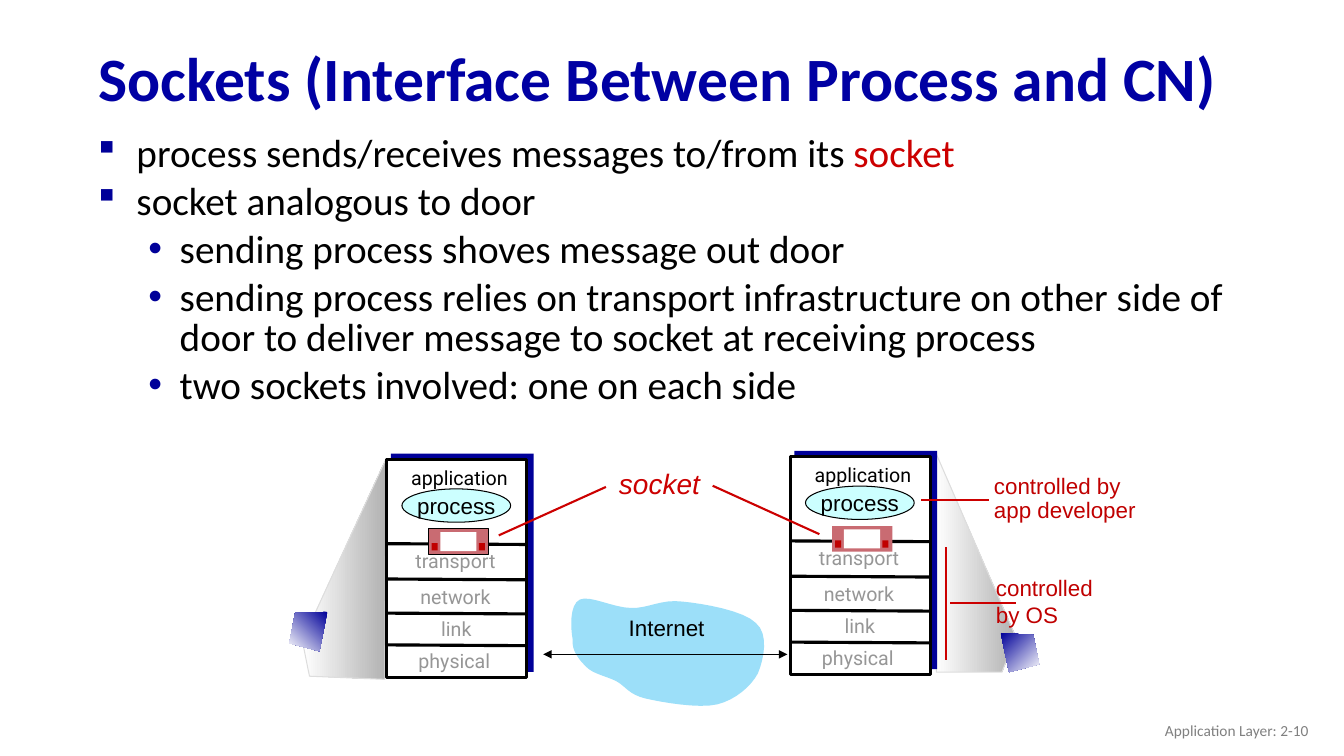
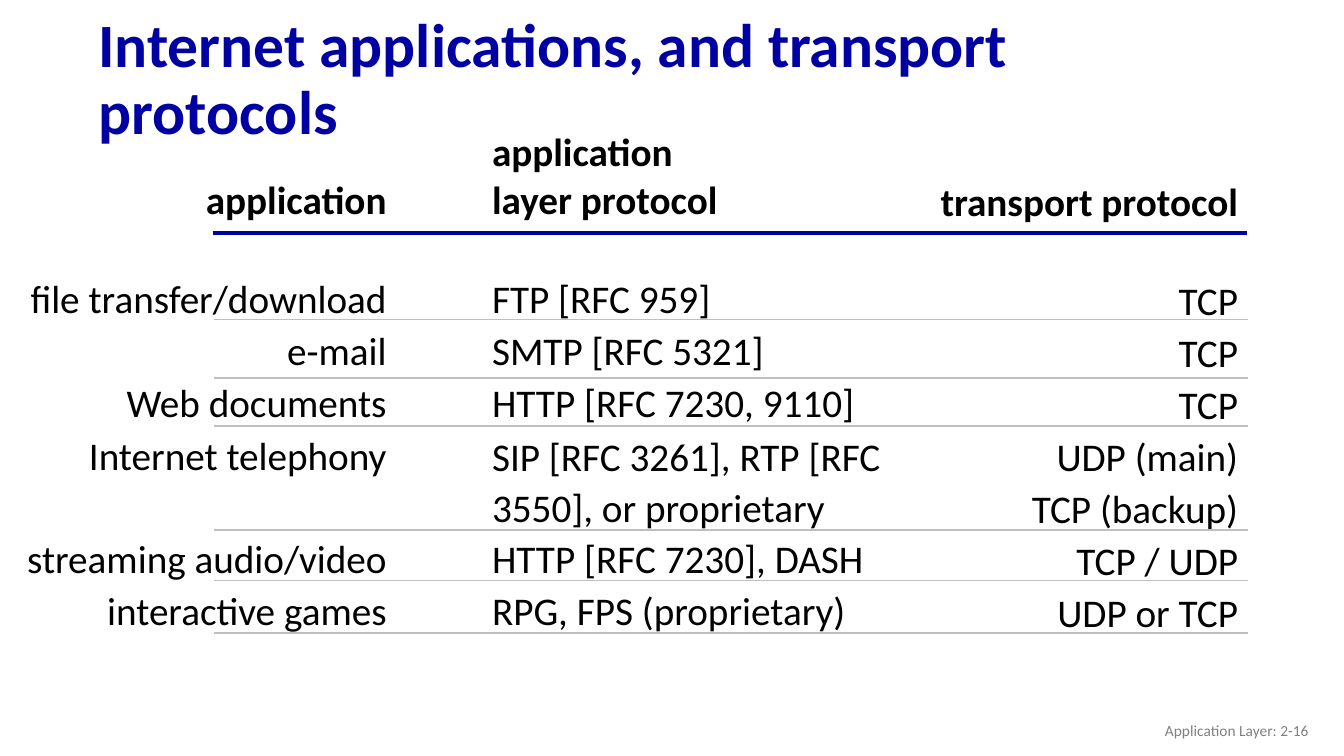
from lxml.etree import SubElement
from pptx import Presentation
from pptx.dml.color import RGBColor
from pptx.enum.shapes import MSO_CONNECTOR, MSO_SHAPE as Shape
from pptx.enum.text import MSO_ANCHOR as Anchor, PP_ALIGN as Align
from pptx.oxml.ns import qn
from pptx.util import Cm, Pt

TITLE = RGBColor(0x00, 0x00, 0xA3)
NAVY = RGBColor(0x00, 0x00, 0x99)
BLUE = RGBColor(0x00, 0x00, 0xA8)
RED = RGBColor(0xCC, 0x00, 0x00)
DARK = RGBColor(0xC0, 0x00, 0x00)
ROSE = RGBColor(0xC9, 0x6B, 0x72)
SKY = RGBColor(0x9C, 0xDF, 0xF9)
CYAN = RGBColor(0xCC, 0xFF, 0xFF)
BLACK = RGBColor(0x00, 0x00, 0x00)
WHITE = RGBColor(0xFF, 0xFF, 0xFF)
GREY = RGBColor(0x80, 0x80, 0x80)
FADED = RGBColor(0x96, 0x96, 0x96)
SHADE = RGBColor(0xB2, 0xB2, 0xB2)
EDGE = RGBColor(0xDD, 0xDD, 0xDD)
RULE = RGBColor(0xBF, 0xBF, 0xBF)

BODY, SANS, LABEL = "Calibri", "Arial", "Roboto"
PLAIN = "{2D5ABB26-0587-4C30-8999-92F81FD0307C}"  # table style without grid

POINTS = [
    (0, "process sends/receives messages to/from its ", "socket"),
    (0, "socket analogous to door", ""),
    (1, "sending process shoves message out door", ""),
    (1, "sending process relies on transport infrastructure on other side of "
        "door to deliver message to socket at receiving process", ""),
    (1, "two sockets involved: one on each side", ""),
]
# Sign, font, left and hang; the first sign is a small square in its font
BULLETS = [("§", "Wingdings", 0.97, 0.97), ("•", SANS, 2.06, 0.79)]

# Name, left and top within a host
LAYERS = [("application", 0, -0.03), ("transport", -0.1, 2.07),
          ("network", -0.1, 2.97), ("link", -0.08, 3.78),
          ("physical", -0.13, 4.59)]

# Start point, then three points for each curve
CLOUD = [
    (14.43, 16.1), (14.38, 15.82), (14.35, 15.24), (14.61, 15.11),
    (14.86, 14.99), (15.47, 15.32), (15.9, 15.32), (16.33, 15.34),
    (16.66, 15.09), (17.2, 15.16), (17.73, 15.21), (18.75, 15.39),
    (19.05, 15.7), (19.38, 15.98), (19.25, 16.61), (19.1, 16.97),
    (18.92, 17.3), (18.54, 17.63), (18.08, 17.75), (17.6, 17.86),
    (16.69, 17.7), (16.26, 17.6), (15.85, 17.5), (15.77, 17.3),
    (15.54, 17.17), (15.29, 17.04), (14.96, 16.99), (14.78, 16.81),
    (14.61, 16.64), (14.4, 16.41), (14.43, 16.1),
]

HEAD = ["application", "application\nlayer protocol", "transport protocol"]
APPS = [
    ["file transfer/download", "FTP [RFC 959]", "TCP"],
    ["e-mail", "SMTP [RFC 5321]", "TCP"],
    ["Web documents", "HTTP [RFC 7230, 9110]", "TCP"],
    ["Internet telephony", "SIP [RFC 3261], RTP [RFC 3550], or proprietary",
     "UDP (main)\nTCP (backup)"],
    ["streaming audio/video", "HTTP [RFC 7230], DASH", "TCP / UDP"],
    ["interactive games", "RPG, FPS (proprietary)", "UDP or TCP"],
]
RULES = [8.05, 9.53, 10.74, 13.36, 14.63, 15.95]


def style(para, size, color, face=BODY, bold=False, italic=False,
          align=Align.LEFT, gap=None):
    font = para.font
    font.name, font.size, font.bold, font.italic = face, Pt(size), bold, italic
    font.color.rgb = color
    para.alignment = align
    if gap:
        para.line_spacing = gap


def text(slide, box, words, size, color, face=BODY, anchor=Anchor.TOP, **look):
    frame = slide.shapes.add_textbox(*map(Cm, box)).text_frame
    frame.word_wrap = True
    frame.vertical_anchor = anchor
    frame.text = words
    for para in frame.paragraphs:
        style(para, size, color, face, **look)


def paint(shape, fill, edge=None, width=0.75):
    shape.shadow.inherit = False
    if fill:
        shape.fill.solid()
        shape.fill.fore_color.rgb = fill
    if edge is None:
        shape.line.fill.background()
    else:
        shape.line.color.rgb = edge
        shape.line.width = Pt(width)


def block(slide, box, fill, edge=None, width=0.75, kind=Shape.RECTANGLE):
    shape = slide.shapes.add_shape(kind, *map(Cm, box))
    paint(shape, fill, edge, width)
    return shape


def line(slide, start, end, color, width, arrows=False):
    link = slide.shapes.add_connector(
        MSO_CONNECTOR.STRAIGHT, *map(Cm, start + end))
    link.line.color.rgb = color
    link.line.width = Pt(width)
    props = link._element.spPr
    if arrows:
        for tag in ("a:headEnd", "a:tailEnd"):
            SubElement(props.find(qn("a:ln")), qn(tag), type="triangle")
    SubElement(props, qn("a:effectLst"))


def outline(slide, dots):
    first, *rest = [(Cm(x), Cm(y)) for x, y in dots]
    path = slide.shapes.build_freeform(*first)
    path.add_line_segments(rest, close=True)
    return path.convert_to_shape()


def fade(slide, dots, colors, angle, edge=None):
    shape = outline(slide, dots)
    shape.fill.gradient()
    shape.fill.gradient_angle = angle
    for stop, color in zip(shape.fill.gradient_stops, colors):
        stop.color.rgb = color
    paint(shape, None, edge)


def curve(dots, steps=8):
    """Sample a chain of cubic curves as points."""
    path = [dots[0]]
    for i in range(0, len(dots) - 1, 3):
        for k in range(1, steps + 1):
            t = k / steps
            parts = ((1 - t) ** 3, 3 * t * (1 - t) ** 2,
                     3 * t * t * (1 - t), t ** 3)
            path.append(tuple(sum(w * dot[axis] for w, dot in
                                  zip(parts, dots[i:i + 4]))
                              for axis in (0, 1)))
    return path


def page(deck, title, number):
    """Add a slide with the shared title and footer."""
    slide = deck.slides.add_slide(deck.slide_layouts[6])
    text(slide, (2.23, 0.8, 29.21, 2.49), title, 44, TITLE,
         anchor=Anchor.MIDDLE, bold=True, gap=0.9)
    text(slide, (25.61, 17.9, 7.62, 1.02), f"Application Layer: {number}", 11,
         GREY, anchor=Anchor.MIDDLE, align=Align.RIGHT)
    return slide


def bullets(slide, box):
    frame = slide.shapes.add_textbox(*map(Cm, box)).text_frame
    frame.word_wrap = True
    for i, (level, words, key) in enumerate(POINTS):
        para = frame.add_paragraph() if i else frame.paragraphs[0]
        sign, face, left, hang = BULLETS[level]
        props = para._p.get_or_add_pPr()
        props.set("marL", str(Cm(left)))
        props.set("indent", str(-Cm(hang)))
        tint = SubElement(props, qn("a:buClr"))
        SubElement(tint, qn("a:srgbClr"), val=str(NAVY))
        SubElement(props, qn("a:buFont"), typeface=face)
        SubElement(props, qn("a:buChar"), char=sign)
        para.level = level
        style(para, 28, BLACK, gap=0.85)
        if i:
            para.space_before = Pt(5.6)
        para.add_run().text = words
        if key:
            run = para.add_run()
            run.text = key
            run.font.color.rgb = RED


def door(slide, x, y, edge):
    block(slide, (x, y, 1.52, 0.64), ROSE, edge)
    block(slide, (x + 0.3, y + 0.08, 0.91, 0.48), WHITE)
    for peg in (1.27, 0.08):
        block(slide, (x + peg, y + 0.36, 0.15, 0.18), DARK)


def host(slide, x, y, edge=None):
    """Draw a protocol stack with its process and socket."""
    block(slide, (x + 0.1, y - 0.15, 3.6, 5.5), NAVY)
    block(slide, (x, y, 3.53, 5.49), WHITE, BLACK, 2.25)
    for drop in (2.12, 3.01, 3.87, 4.67):
        line(slide, (x, y + drop), (x + 3.53, y + drop + 0.02), BLACK, 2.25)
    for name, left, top in LAYERS:
        text(slide, (x + left, y + top, 3.66, 0.91), name, 14,
             BLACK if name == "application" else FADED, LABEL,
             align=Align.CENTER, gap=1.1)
    oval = block(slide, (x + 0.38, y + 0.74, 2.74, 0.84), CYAN, BLACK,
                 kind=Shape.OVAL)
    frame = oval.text_frame
    frame.word_wrap = False
    frame.vertical_anchor = Anchor.MIDDLE
    frame.text = "process"
    style(frame.paragraphs[0], 16, BLACK, SANS, align=Align.CENTER)
    door(slide, x + 1.05, y + 1.75, edge)


def network(slide):
    """Draw the cloud and the link between the hosts."""
    paint(outline(slide, curve(CLOUD)), SKY)
    text(slide, (15.4, 15.34, 2.8, 0.94), "Internet", 16, BLACK, SANS,
         align=Align.CENTER)
    line(slide, (13.69, 16.49), (19.84, 16.49), BLACK, 0.75, arrows=True)


def notes(slide):
    """Place the red labels and their lines."""
    text(slide, (24.85, 14.35, 3.4, 2.29), "controlled\nby OS", 16, DARK, SANS)
    text(slide, (24.8, 11.84, 4.6, 1.47), "controlled by\napp developer", 16,
         DARK, SANS, gap=0.9)
    text(slide, (15.35, 11.73, 2.9, 1.02), "socket", 20, RED, SANS,
         italic=True, gap=0.9)
    for start, end in [((24.92, 12.6), (23.22, 12.6)),
                       ((23.85, 13.79), (23.85, 16.64)),
                       ((25.6, 15.19), (23.93, 15.19)),
                       ((12.57, 13.49), (15.27, 12.27)),
                       ((20.65, 13.46), (17.96, 12.24))]:
        line(slide, start, end, RED, 1.5)


def sockets(deck):
    slide = page(deck, "Sockets (Interface Between Process and CN)", "2-10")
    bullets(slide, (2.22, 3.3, 30.45, 6.48))
    beam, screen = (WHITE, SHADE), (NAVY, WHITE)
    fade(slide, [(25.6, 16.05), (23.57, 11.38), (23.6, 16.94),
                 (25.25, 16.94)], beam, 0, EDGE)
    fade(slide, [(7.62, 16.15), (9.73, 11.56), (9.7, 17.12),
                 (7.8, 17.04)], beam, 0, EDGE)
    network(slide)
    host(slide, 9.75, 11.58, BLACK)
    host(slide, 19.92, 11.51)
    notes(slide)
    fade(slide, [(8.25, 15.42), (7.44, 15.44), (7.29, 16.21),
                 (8.05, 16.41)], screen, 225)
    fade(slide, [(25.22, 15.95), (26.04, 16), (26.19, 16.74),
                 (25.43, 16.94)], screen, 315)


def cells(slide, x, y):
    """Place the table of applications."""
    widths, step = (11.81, 11.18, 8.12), 1.31
    tall = [3.66] + [step * (1 + ("\n" in row[2])) for row in APPS]
    table = slide.shapes.add_table(
        len(tall), 3, Cm(x), Cm(y), Cm(sum(widths)), Cm(sum(tall))).table
    table.first_row = table.horz_banding = False
    table._tbl.tblPr.find(qn("a:tableStyleId")).text = PLAIN
    for col, width in zip(table.columns, widths):
        col.width = Cm(width)
    for i, (row, words) in enumerate(zip(table.rows, [HEAD] + APPS)):
        row.height = Cm(tall[i])
        for j, (cell, word) in enumerate(zip(row.cells, words)):
            cell.fill.background()
            cell.margin_top = 0
            cell.margin_bottom = Cm(0 if i else 1.24 - 0.07 * (j == 2))
            cell.margin_left = Cm(0.25 if j else 0)
            cell.margin_right = Cm(0.25 if j else 2.41)
            cell.vertical_anchor = (
                Anchor.BOTTOM if i == 0 or j == 2 else
                Anchor.TOP if tall[i] > step and j == 0 else Anchor.MIDDLE)
            cell.text = word
            for para in cell.text_frame.paragraphs:
                style(para, 28, BLACK, bold=i == 0,
                      align=Align.LEFT if j == 1 else Align.RIGHT,
                      gap=1.08 if tall[i] > step and i else None)


def protocols(deck):
    slide = page(deck, "Internet applications, and transport protocols", "2-16")
    cells(slide, 0.34, 3.24)
    line(slide, (5.36, 5.87), (31.42, 5.87), BLUE, 2.5)
    for y in RULES:
        line(slide, (5.4, y), (31.45, y), RULE, 1.25)


def main():
    deck = Presentation()
    deck.slide_width, deck.slide_height = Cm(33.87), Cm(19.05)
    sockets(deck)
    protocols(deck)
    deck.save("out.pptx")


if __name__ == "__main__":
    main()
